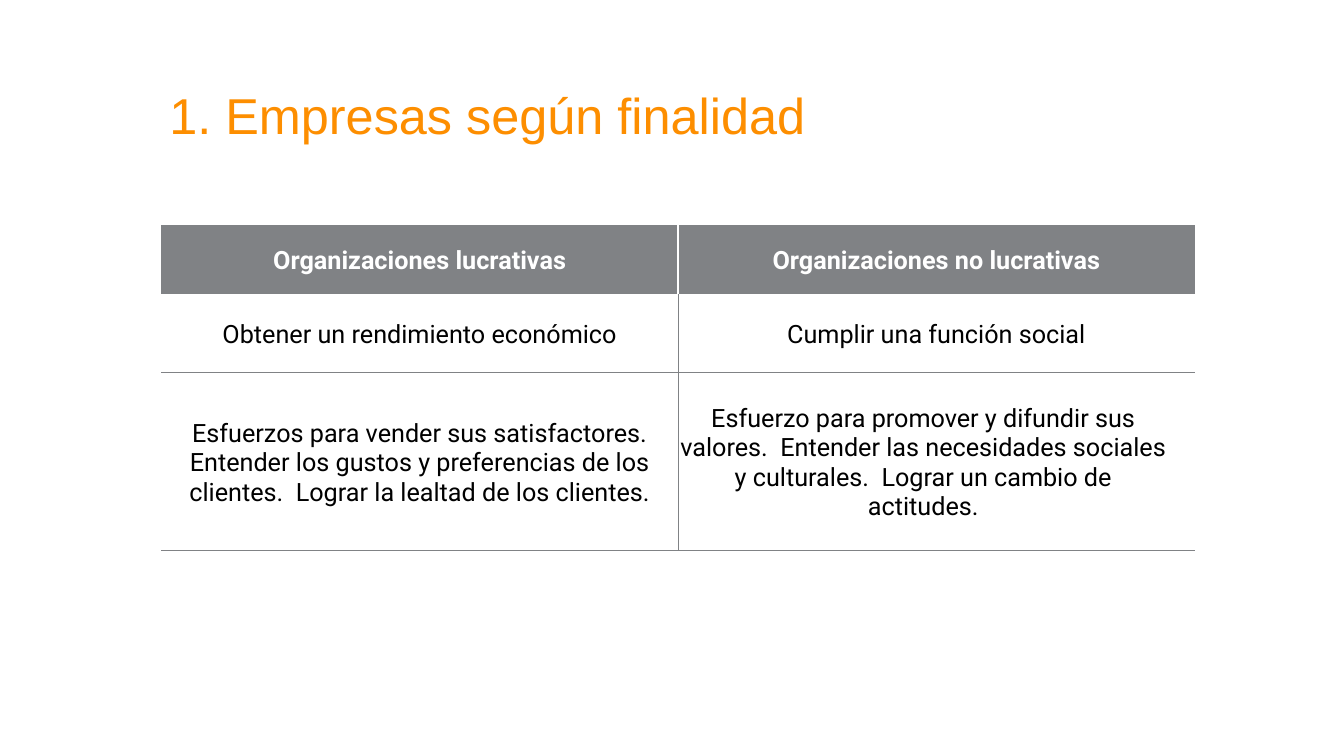
from lxml.etree import SubElement
from pptx import Presentation
from pptx.dml.color import RGBColor
from pptx.enum.text import MSO_ANCHOR, MSO_AUTO_SIZE, PP_ALIGN
from pptx.oxml.ns import qn
from pptx.util import Inches, Pt

COLORS = {"orange": "FD8E00", "gray": "808285", "white": "FFFFFF", "black": "000000"}
NO_STYLE = "{2D5ABB26-0587-4C30-8999-92F81FD0307C}"


def format_font(font, color, **values):
    font.color.rgb = RGBColor.from_string(COLORS[color])
    for name, value in values.items():
        setattr(font, name, value)


def add_border(cell, side, color, points):
    """Draw one side of a cell: L, R, T or B, called in that order."""
    line = SubElement(cell._tc.get_or_add_tcPr(), qn(f"a:ln{side}"), w=str(Pt(points)))
    fill = SubElement(line, qn("a:solidFill"))
    SubElement(fill, qn("a:srgbClr"), val=COLORS[color])


deck = Presentation()
deck.slide_width, deck.slide_height = Inches(13.33), Inches(7.5)
page = deck.slides.add_slide(deck.slide_layouts[5])

# Title
title = page.shapes.title
title_place = {"left": 1.6, "top": 0.38, "width": 10.25, "height": 1.59}
for name, value in title_place.items():
    setattr(title, name, Inches(value))
frame = title.text_frame
frame.text = "1. Empresas según finalidad"
frame_format = {"vertical_anchor": MSO_ANCHOR.MIDDLE, "auto_size": MSO_AUTO_SIZE.NONE, "word_wrap": True}
for side in ("left", "right", "top", "bottom"):
    frame_format[f"margin_{side}"] = Inches(0.08)
for name, value in frame_format.items():
    setattr(frame, name, value)
para = frame.paragraphs[0]
para.alignment, para.line_spacing = PP_ALIGN.LEFT, 0.9
format_font(para.runs[0].font, "orange", name="Arial", size=Pt(36))

# Comparison table
rows = [
    ("Organizaciones lucrativas", "Organizaciones no lucrativas"),
    ("Obtener un rendimiento económico", "Cumplir una función social"),
    (
        "Esfuerzos para vender sus satisfactores.\n"
        "Entender los gustos y preferencias de los clientes.  Lograr la lealtad de los clientes.",
        "Esfuerzo para promover y difundir sus valores.  Entender las necesidades sociales "
        "y culturales.  Lograr un cambio de actitudes.",
    ),
]
row_heights = [0.69, 0.77, 1.77]
space_before = [2, 3, 2.6]
table = page.shapes.add_table(
    len(rows), 2, Inches(1.6), Inches(2.23), Inches(10.25), Inches(sum(row_heights))
).table
table.first_row = table.horz_banding = False
table._tbl.tblPr.find(qn("a:tableStyleId")).text = NO_STYLE
for column in table.columns:
    column.width = Inches(10.25 / 2)

for row, texts in enumerate(rows):
    table.rows[row].height = Inches(row_heights[row])
    header = row == 0
    for col, text in enumerate(texts):
        cell = table.cell(row, col)
        cell.text = text
        cell_format = {
            "vertical_anchor": MSO_ANCHOR.MIDDLE,
            "margin_left": 0,
            "margin_right": Inches(0.26) if (row, col) == (2, 1) else 0,
            "margin_top": Inches(0.03 if header else 0.04),
            "margin_bottom": 0,
        }
        for name, value in cell_format.items():
            setattr(cell, name, value)

        inner_side = "R" if col == 0 else "L"
        if header:
            add_border(cell, inner_side, "white", 1)
            cell.fill.solid()
            cell.fill.fore_color.rgb = RGBColor.from_string(COLORS["gray"])
        else:
            for side in inner_side + ("B" if row == 1 else "TB"):
                add_border(cell, side, "gray", 0.5)
            cell.fill.background()

        for number, para in enumerate(cell.text_frame.paragraphs):
            para.alignment = PP_ALIGN.CENTER
            para.space_before = Pt(space_before[row] if number == 0 else 0)
            format_font(para.runs[0].font, "white" if header else "black",
                        name="Roboto", size=Pt(18), bold=header)

deck.save("out.pptx")
